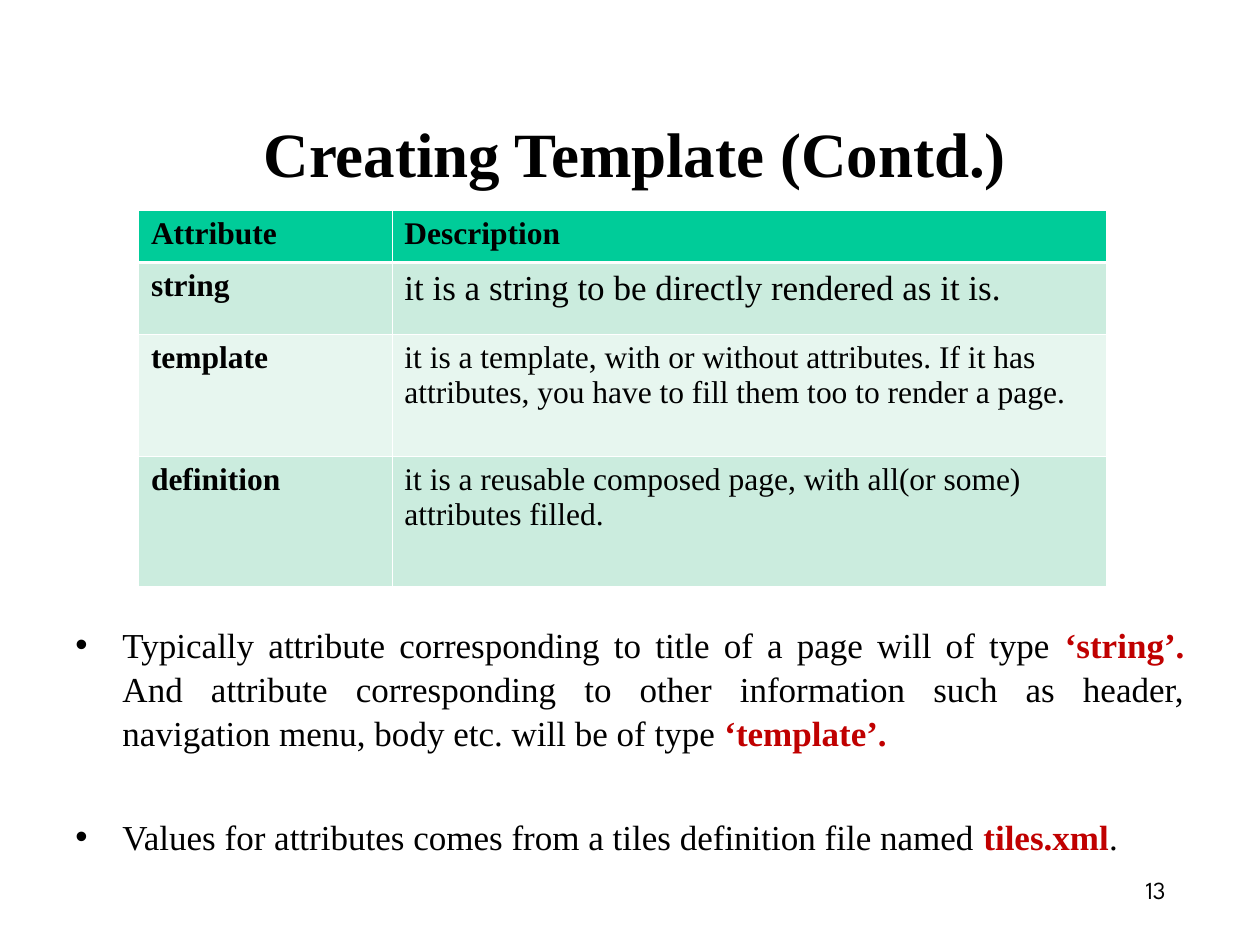
from dataclasses import dataclass
from typing import Any

from lxml import etree
from pptx import Presentation
from pptx.dml.color import RGBColor
from pptx.enum.text import MSO_ANCHOR, PP_ALIGN
from pptx.oxml.ns import qn
from pptx.util import Cm, Pt

CENTER, JUSTIFY, LEFT = PP_ALIGN.CENTER, PP_ALIGN.JUSTIFY, PP_ALIGN.LEFT
TOP, MIDDLE = MSO_ANCHOR.TOP, MSO_ANCHOR.MIDDLE
TITLE_ONLY = 5
COLOURS = {
    "text": "000000",
    "accent": "C00000",
    "header": "00CC99",
    "odd": "CBECDE",
    "even": "E7F6EF",
    "border": "FFFFFF",
}
COLUMN_WIDTHS = (5.11, 14.4)
ROW_HEIGHTS = (1.05, 1.45, 2.46, 2.62)
ROWS = (
    ("Attribute", "Description"),
    ("string", "it is a string to be directly rendered as it is."),
    ("template", "it is a template, with or without attributes. If it has "
                 "attributes, you have to fill them too to render a page."),
    ("definition", "it is a reusable composed page, with all(or some) attributes filled."),
)
BULLETS = (
    (
        ("Typically attribute corresponding to title of a page will of type ", False),
        ("‘string’. ", True),
        ("And attribute corresponding to other information such as header, "
         "navigation menu, body etc. will be of type ", False),
        ("‘template’.", True),
    ),
    (
        ("Values for attributes comes from a tiles definition file named ", False),
        ("tiles.xml", True),
        (".", False),
    ),
)


def colour(name):
    return RGBColor.from_string(COLOURS[name])


def write(paragraph, text, *, font, size, bold=False, fill="text", align=LEFT):
    paragraph.alignment = align
    run = paragraph.add_run()
    run.text = text
    run.font.name = font
    run.font.size = Pt(size)
    run.font.bold = bold
    run.font.color.rgb = colour(fill)


def set_border(cell, side, width):
    properties = cell._tc.get_or_add_tcPr()
    line = etree.SubElement(properties, qn(f"a:ln{side}"), w=str(Pt(width)))
    solid = etree.SubElement(line, qn("a:solidFill"))
    etree.SubElement(solid, qn("a:srgbClr"), val=COLOURS["border"])


def set_bullet(paragraph, indent):
    properties = paragraph._p.get_or_add_pPr()
    properties.set("marL", str(indent))
    properties.set("indent", str(-indent))
    bullet_colour = etree.SubElement(properties, qn("a:buClr"))
    etree.SubElement(bullet_colour, qn("a:srgbClr"), val=COLOURS["text"])
    etree.SubElement(properties, qn("a:buFont"), typeface="Arial")
    etree.SubElement(properties, qn("a:buChar"), char="•")


@dataclass
class SlideBuilder:
    slide: Any
    font: str = "Times New Roman"
    number_font: str = "League Spartan"

    def title(self, text, left, top, width, height):
        shape = self.slide.shapes.title
        shape.left, shape.top, shape.width, shape.height = map(Cm, (left, top, width, height))
        frame = shape.text_frame
        frame.vertical_anchor = TOP
        paragraph = frame.paragraphs[0]
        paragraph.space_before = Pt(5)
        write(paragraph, text, font=self.font, size=36, bold=True, align=CENTER)

    def text_frame(self, left, top, width, height, anchor=TOP):
        shape = self.slide.shapes.add_textbox(*map(Cm, (left, top, width, height)))
        frame = shape.text_frame
        frame.word_wrap = True
        frame.vertical_anchor = anchor
        return frame

    def number(self, text, *box):
        paragraph = self.text_frame(*box, anchor=MIDDLE).paragraphs[0]
        write(paragraph, text, font=self.number_font, size=14, align=CENTER)

    def bullets(self, items, *box):
        frame = self.text_frame(*box)
        for index, pieces in enumerate(items):
            paragraph = frame.add_paragraph() if index else frame.paragraphs[0]
            paragraph.line_spacing = 1.05
            paragraph.space_before = Pt(34 if index else 5)
            set_bullet(paragraph, Cm(0.95))
            for text, marked in pieces:
                write(paragraph, text, font=self.font, size=20, bold=marked,
                      fill="accent" if marked else "text", align=JUSTIFY)

    def table(self, rows, left, top, widths, heights):
        frame = self.slide.shapes.add_table(
            len(rows), len(widths), Cm(left), Cm(top), Cm(sum(widths)), Cm(sum(heights)))
        table = frame.table
        for column, width in zip(table.columns, widths):
            column.width = Cm(width)
        for row_index, (row, height) in enumerate(zip(rows, heights)):
            table.rows[row_index].height = Cm(height)
            for column_index, text in enumerate(row):
                self.cell(table.cell(row_index, column_index), text, row_index, column_index)

    def cell(self, cell, text, row, column):
        for side in "LRTB":
            thick = (row, side) in ((0, "B"), (1, "T"))
            set_border(cell, side, 1.47 if thick else 0.45)
        cell.fill.solid()
        shade = "header" if row == 0 else "odd" if row % 2 else "even"
        cell.fill.fore_color.rgb = colour(shade)
        write(cell.text_frame.paragraphs[0], text, font=self.font,
              size=20 if (row, column) == (1, 1) else 18,
              bold=row == 0 or column == 0)


def main():
    presentation = Presentation()
    presentation.slide_width, presentation.slide_height = Cm(25.4), Cm(19.05)
    slide = presentation.slides.add_slide(presentation.slide_layouts[TITLE_ONLY])
    builder = SlideBuilder(slide)
    builder.number("13", 22.61, 17.17, 1.37, 1.55)
    builder.bullets(BULLETS, 1.27, 12.4, 22.86, 4.85)
    builder.table(ROWS, 2.79, 4.24, COLUMN_WIDTHS, ROW_HEIGHTS)
    builder.title("Creating Template (Contd.)", 1.27, 2.18, 23.06, 1.52)
    presentation.save("out.pptx")


if __name__ == "__main__":
    main()
